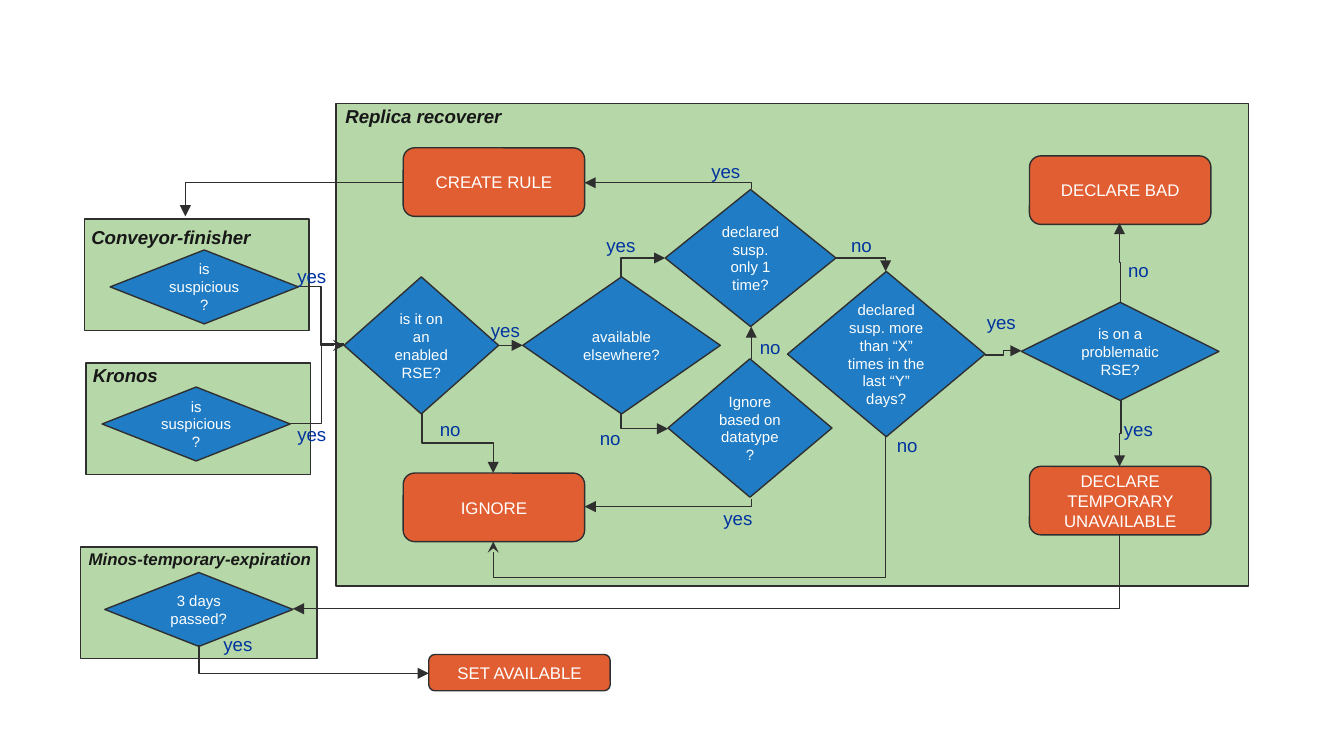
import dataclasses

import lxml.etree
import pptx
import pptx.dml.color
import pptx.enum.shapes
import pptx.enum.text
import pptx.oxml.ns
import pptx.util

Inches = pptx.util.Inches
Kind = pptx.enum.shapes.MSO_SHAPE
Link = pptx.enum.shapes.MSO_CONNECTOR
Align = pptx.enum.text.PP_ALIGN
Anchor = pptx.enum.text.MSO_ANCHOR
qn = pptx.oxml.ns.qn


@dataclasses.dataclass
class Theme:
    font: str = "Arial"
    panel: str = "B6D7A8"
    test: str = "207CC4"
    act: str = "E15E32"
    edge: str = "2F2F2F"
    title: str = "171717"
    label: str = "0033A0"
    white: str = "FFFFFF"
    small: int = 8
    mid: int = 9
    large: int = 10
    width: float = 0.75


theme = Theme()


def color(code):
    return pptx.dml.color.RGBColor.from_string(code)


def write(shape, text, size, code, align=Align.CENTER, anchor=Anchor.TOP, bold=None):
    frame = shape.text_frame
    frame.word_wrap = True
    frame.vertical_anchor = anchor
    frame.margin_left = frame.margin_right = Inches(0.07)
    frame.margin_top = frame.margin_bottom = Inches(0.07)
    para = frame.paragraphs[0]
    para.alignment = align
    run = para.add_run()
    run.text = text
    run.font.name = theme.font
    run.font.size = pptx.util.Pt(size)
    run.font.color.rgb = color(code)
    run.font.bold = run.font.italic = bold


# Slide in 16:9
deck = pptx.Presentation()
deck.slide_width = Inches(10)
deck.slide_height = Inches(10) * 9 // 16
slide = deck.slides.add_slide(deck.slide_layouts[6])
shapes = slide.shapes

# Panels, decisions and actions: place and text
panels = [
    ((0.63, 1.63, 1.67, 0.83), ""),
    ((0.64, 2.7, 1.67, 0.83), ""),
    ((2.5, 0.77, 6.79, 3.59), ""),
    ((0.6, 4.07, 1.76, 0.83), ""),
]
tests = [
    ((0.82, 1.86, 1.4, 0.55), "is suspicious?"),
    ((0.76, 2.88, 1.4, 0.55), "is suspicious?"),
    ((0.78, 4.26, 1.4, 0.55), "3 days passed?"),
    ((2.56, 2.06, 1.15, 1.02), "is it on an enabled RSE?"),
    ((3.89, 2.06, 1.47, 1.02), "available elsewhere?"),
    ((4.95, 1.41, 1.27, 1.02), "declared susp. only 1 time?"),
    ((4.97, 2.67, 1.22, 1.03), "Ignore based on datatype?"),
    ((5.86, 2.02, 1.47, 1.23),
     "declared susp. more than “X” times in the last “Y” days?"),
    ((7.6, 2.25, 1.47, 0.73), "is on a problematic RSE?"),
]
acts = [
    ((3, 1.1, 1.35, 0.51), "CREATE RULE"),
    ((3, 3.52, 1.35, 0.51), "IGNORE"),
    ((7.66, 1.16, 1.35, 0.51), "DECLARE BAD"),
    ((7.66, 3.47, 1.35, 0.51), "DECLARE TEMPORARY UNAVAILABLE"),
    ((3.19, 4.87, 1.35, 0.27), "SET AVAILABLE"),
]
for kind, fill, size, items in [
    (Kind.RECTANGLE, theme.panel, theme.small, panels),
    (Kind.FLOWCHART_DECISION, theme.test, theme.small, tests),
    (Kind.ROUNDED_RECTANGLE, theme.act, theme.mid, acts),
]:
    for place, text in items:
        shape = shapes.add_shape(kind, *map(Inches, place))
        shape.shadow.inherit = False
        shape.fill.solid()
        shape.fill.fore_color.rgb = color(fill)
        shape.line.color.rgb = color(theme.edge)
        shape.line.width = pptx.util.Pt(theme.width)
        if text:
            write(shape, text, size, theme.white, anchor=Anchor.MIDDLE)

# Panel titles
for place, text, size in [
    ((0.61, 1.61, 1.54, 0.17), "Conveyor-finisher", theme.large),
    ((0.62, 2.71, 1.15, 0.07), "Kronos", theme.large),
    ((2.5, 0.71, 4, 0.36), "Replica recoverer", theme.large),
    ((0.59, 4.08, 1.98, 0.07), "Minos-temporary-expiration", theme.mid),
]:
    box = shapes.add_textbox(*map(Inches, place))
    write(box, text, size, theme.title, Align.LEFT, bold=True)

# Flow lines: start, end, first leg (None is straight), bend (None is one corner), head
for x1, y1, x2, y2, leg, bend, head in [
    (3.71, 2.57, 3.89, 2.57, None, None, "triangle"),
    (5.59, 2.67, 5.59, 2.43, None, None, "triangle"),
    (3.14, 3.07, 3.67, 3.52, "down", 0.5, "triangle"),
    (4.62, 2.06, 4.95, 1.92, "down", None, "triangle"),
    (4.62, 3.07, 4.97, 3.19, "down", None, "triangle"),
    (5.59, 3.71, 4.35, 3.77, "down", None, "triangle"),
    (7.33, 2.64, 7.6, 2.61, "across", 0.5, "triangle"),
    (6.59, 3.25, 3.67, 4.03, "down", 1.34, "stealth"),
    (5.59, 1.41, 4.35, 1.36, "down", None, "triangle"),
    (8.34, 2.25, 8.33, 1.66, "down", 0.5, "triangle"),
    (8.34, 2.98, 8.33, 3.47, "down", 0.5, "triangle"),
    (8.33, 3.97, 2.18, 4.53, "down", None, "triangle"),
    (1.48, 4.8, 3.19, 5.01, "down", None, "triangle"),
    (2.22, 2.13, 2.56, 2.57, "across", 0.5, "stealth"),
    (2.16, 3.15, 2.56, 2.56, "across", 0.58, None),
    (3, 1.36, 1.38, 1.61, "across", None, "triangle"),
    (6.22, 1.92, 6.59, 2.02, "across", None, "triangle"),
]:
    if leg is None:
        line = shapes.add_connector(Link.STRAIGHT, *map(Inches, (x1, y1, x2, y2)))
    else:
        # A vertical first leg is a horizontal one turned about its centre
        wide, high = abs(x2 - x1), abs(y2 - y1)
        right, down = x2 > x1, y2 > y1
        if leg == "down":
            wide, high = high, wide
            turn, flip = (270, down) if right else (90, not down)
        else:
            turn, flip = (0 if down else 180), right != down
        left, top = (x1 + x2 - wide) / 2, (y1 + y2 - high) / 2
        line = shapes.add_connector(
            Link.ELBOW, *map(Inches, (left, top, left + wide, top + high)))
        frame = line.element.spPr.find(qn("a:xfrm"))
        frame.set("rot", str(turn * 60000))
        frame.set("flipH", str(int(flip)))
        geom = line.element.spPr.find(qn("a:prstGeom"))
        if bend is None:
            geom.set("prst", "bentConnector2")
        else:
            guides = geom.find(qn("a:avLst"))
            if guides is None:
                guides = lxml.etree.SubElement(geom, qn("a:avLst"))
            lxml.etree.SubElement(
                guides, qn("a:gd"), name="adj1", fmla=f"val {round(bend * 100000)}")
    line.line.color.rgb = color(theme.edge)
    line.line.width = pptx.util.Pt(theme.width)
    if head:
        lxml.etree.SubElement(
            line.element.spPr.find(qn("a:ln")), qn("a:tailEnd"), type=head)
    lxml.etree.SubElement(line.element.spPr, qn("a:effectLst"))

# Answers beside the lines
for text, spots in [
    ("yes", [(2.11, 1.9), (2.11, 3.08), (3.55, 2.3), (4.41, 1.67), (5.19, 1.12),
             (5.28, 3.7), (7.24, 2.24), (8.26, 3.04), (1.56, 4.64)]),
    ("no", [(3.14, 3.04), (4.33, 3.11), (8.26, 1.86), (6.2, 1.67), (6.54, 3.16),
            (5.52, 2.43)]),
]:
    for left, top in spots:
        box = shapes.add_textbox(*map(Inches, (left, top, 0.42, 0.27)))
        write(box, text, theme.large, theme.label)

deck.save("out.pptx")
